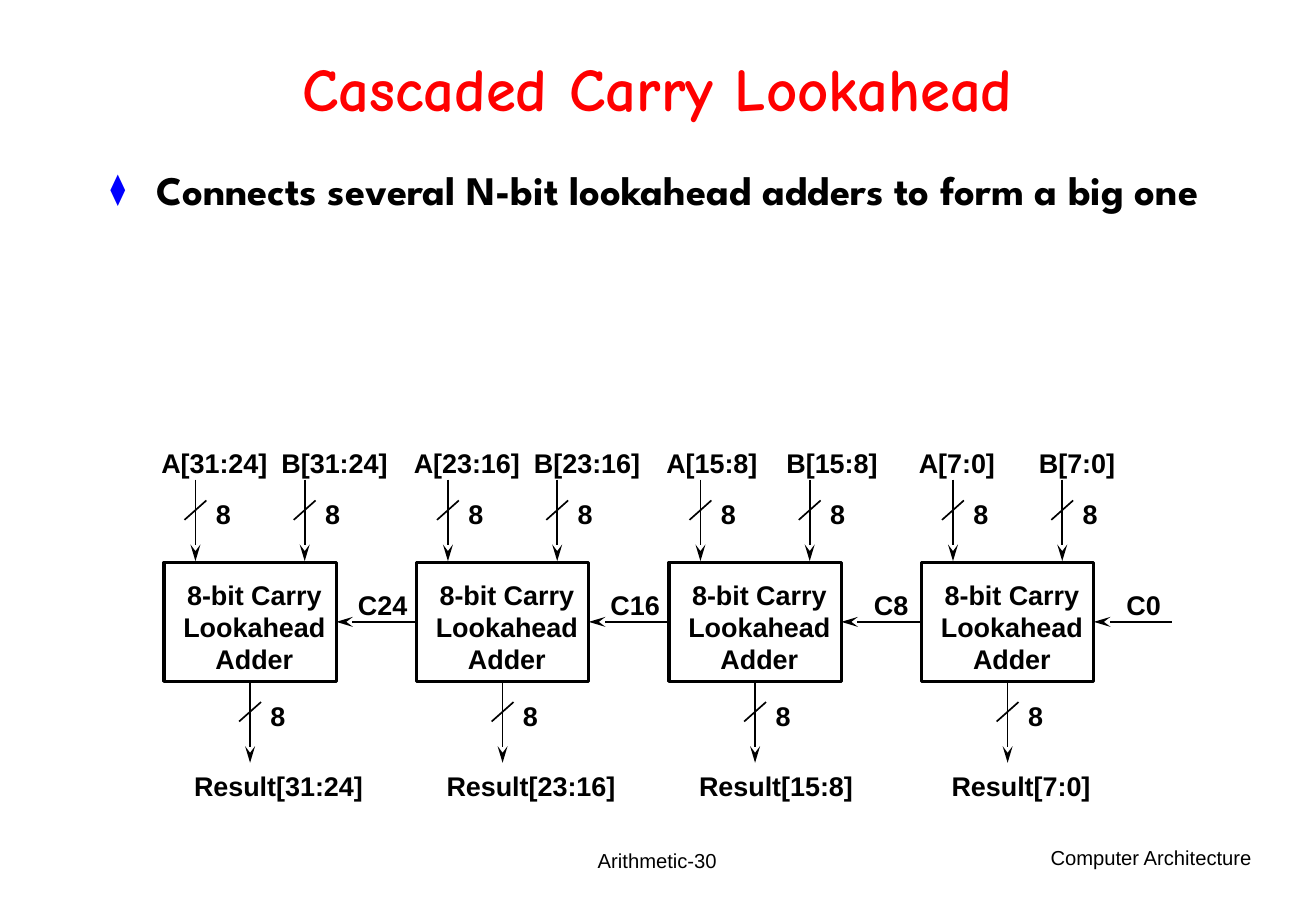
import lxml.etree
import pptx
import pptx.dml.color
import pptx.enum.shapes
import pptx.enum.text
import pptx.oxml.ns
import pptx.util

Inches = pptx.util.Inches
Pt = pptx.util.Pt
ALIGN = pptx.enum.text.PP_ALIGN
ANCHOR = pptx.enum.text.MSO_ANCHOR
FIT = pptx.enum.text.MSO_AUTO_SIZE
BLACK = pptx.dml.color.RGBColor(0, 0, 0)
RED = pptx.dml.color.RGBColor(255, 0, 0)
BLUE = pptx.dml.color.RGBColor(0, 0, 255)

TOP, LEFT, BOTTOM, RIGHT = range(4)
STAGE_PITCH = 2.08
STAGES = [("31:24", "C24"), ("23:16", "C16"), ("15:8", "C8"), ("7:0", "C0")]


def add_element(parent, tag, **attributes):
    """Append a drawing element with its attributes."""
    return lxml.etree.SubElement(parent, pptx.oxml.ns.qn(tag), attributes)


def add_span(para, text, size=16, name="Arial", color=BLACK, bold=True):
    """Add one formatted run to a paragraph."""
    span = para.add_run()
    span.text = text
    span.font.size = Pt(size)
    span.font.name = name
    span.font.color.rgb = color
    span.font.bold = bold


def add_label(page, text, left, top, width, height=0.37, align=ALIGN.LEFT,
              anchor=ANCHOR.TOP, fit=FIT.SHAPE_TO_FIT_TEXT, **style):
    """Add a single-line text box."""
    box = page.shapes.add_textbox(Inches(left), Inches(top), Inches(width), Inches(height))
    box.text_frame.word_wrap = False
    box.text_frame.auto_size = fit
    box.text_frame.vertical_anchor = anchor
    para = box.text_frame.paragraphs[0]
    para.alignment = align
    add_span(para, text, **style)


def add_line(page, start, end, arrow=False):
    """Add a thin black line, with an arrowhead at its end if asked."""
    line = page.shapes.add_connector(
        pptx.enum.shapes.MSO_CONNECTOR.STRAIGHT, *map(Inches, start + end))
    line.line.color.rgb = BLACK
    line.line.width = Pt(1)
    if arrow:
        add_element(line.line._get_or_add_ln(), "a:tailEnd", type="stealth", len="lg")
    add_element(line._element.spPr, "a:effectLst")
    return line


def add_bus(page, x, top):
    """Draw a downward eight-bit bus with its slash and width label."""
    bus = add_line(page, (x, top), (x, top + 0.67), arrow=True)
    add_line(page, (x - 0.09, top + 0.33), (x + 0.09, top + 0.17))
    add_label(page, "8", x + 0.07, top + 0.1, 0.33)
    return bus


def add_adder(page, left, top):
    """Draw the labelled adder block."""
    adder = page.shapes.add_shape(
        pptx.enum.shapes.MSO_SHAPE.RECTANGLE,
        Inches(left), Inches(top), Inches(1.42), Inches(0.98))
    adder.shadow.inherit = False
    adder.fill.background()
    adder.line.color.rgb = BLACK
    adder.line.width = Pt(2)
    frame = adder.text_frame
    frame.word_wrap = False
    frame.vertical_anchor = ANCHOR.TOP
    frame.margin_left, frame.margin_right = Inches(0.07), 0
    frame.margin_top, frame.margin_bottom = Inches(0.13), 0
    for index, text in enumerate(["8-bit Carry", "Lookahead", "Adder"]):
        para = frame.add_paragraph() if index else frame.paragraphs[0]
        para.alignment = ALIGN.CENTER
        add_span(para, text)
    return adder


def add_stage(page, left, top, bits, carry):
    """Draw one stage: operands, adder, carry in and result."""
    adder = add_adder(page, left, top + 1)
    for operand, bus_x, label_x in [("A", 0.26, -0.12), ("B", 1.16, 0.87)]:
        add_bus(page, left + bus_x, top + 0.32)
        add_label(page, f"{operand}[{bits}]", left + label_x, top, 0.48 + 0.12 * len(bits))
    result = add_bus(page, left + 0.71, top + 1.98)
    result.begin_connect(adder, BOTTOM)
    add_label(page, f"Result[{bits}]", left + 0.15, top + 2.66, 1 + 0.12 * len(bits))
    carry_line = add_line(page, (left + 2.06, top + 1.49), (left + 1.42, top + 1.49), arrow=True)
    carry_line.end_connect(adder, RIGHT)
    carry_x = 1.77 - 0.09 * (len(carry) - 1)
    add_label(page, carry, left + carry_x - 0.09, top + 1.17, 0.25 + 0.12 * len(carry))
    return adder, carry_line


def add_cascade(page, left, top):
    """Chain the stages so that each carry leaves the stage on its right."""
    stages = [add_stage(page, left + STAGE_PITCH * index, top, bits, carry)
              for index, (bits, carry) in enumerate(STAGES)]
    for (_, carry_line), (source, _) in zip(stages, stages[1:]):
        carry_line.begin_connect(source, LEFT)


def place(holder, left, top, width, height):
    """Move a placeholder and return its text frame and first paragraph."""
    holder.left, holder.top = Inches(left), Inches(top)
    holder.width, holder.height = Inches(width), Inches(height)
    frame = holder.text_frame
    frame.word_wrap = True
    frame.auto_size = FIT.NONE
    return frame, frame.paragraphs[0]


def fill_title(page, left, top, width, height):
    """Write the slide title."""
    frame, para = place(page.shapes.title, left, top, width, height)
    frame.vertical_anchor = ANCHOR.MIDDLE
    para.alignment = ALIGN.CENTER
    para.line_spacing = 0.85
    add_span(para, "Cascaded Carry Lookahead", 36, "Comic Neue", RED)


def fill_body(page, left, top, width, height):
    """Write the bulleted statement."""
    _, para = place(page.placeholders[1], left, top, width, height)
    para.line_spacing = 0.9
    para.space_before = Pt(0)
    properties = para._p.get_or_add_pPr()
    properties.set("marL", str(Inches(0.38)))
    properties.set("indent", str(Inches(-0.38)))
    add_element(add_element(properties, "a:buClr"), "a:srgbClr", val=str(BLUE))
    add_element(properties, "a:buSzPct", val="75000")
    add_element(properties, "a:buChar", char="⧫")
    add_span(para, "Connects several N-bit lookahead adders to form a big one",
             24, "League Spartan")


def add_footer(page, top):
    """Write the page number and the course name."""
    add_label(page, "Arithmetic-30", 3.7, top, 3.43, 0.5, ALIGN.CENTER,
              ANCHOR.MIDDLE, FIT.NONE, size=12, bold=False)
    add_label(page, "Computer Architecture", 8.12, top + 0.08, 2.29, 0.5, ALIGN.RIGHT,
              fit=FIT.NONE, size=12, bold=False)


def main():
    """Build and save the deck."""
    deck = pptx.Presentation()
    deck.slide_width, deck.slide_height = Inches(10.84), Inches(7.5)
    page = deck.slides.add_slide(deck.slide_layouts[1])
    fill_title(page, 0.81, 0.27, 9.21, 0.99)
    fill_body(page, 0.81, 1.35, 9.21, 5.56)
    add_cascade(page, 1.35, 3.63)
    add_footer(page, 6.83)
    deck.save("out.pptx")


if __name__ == "__main__":
    main()
